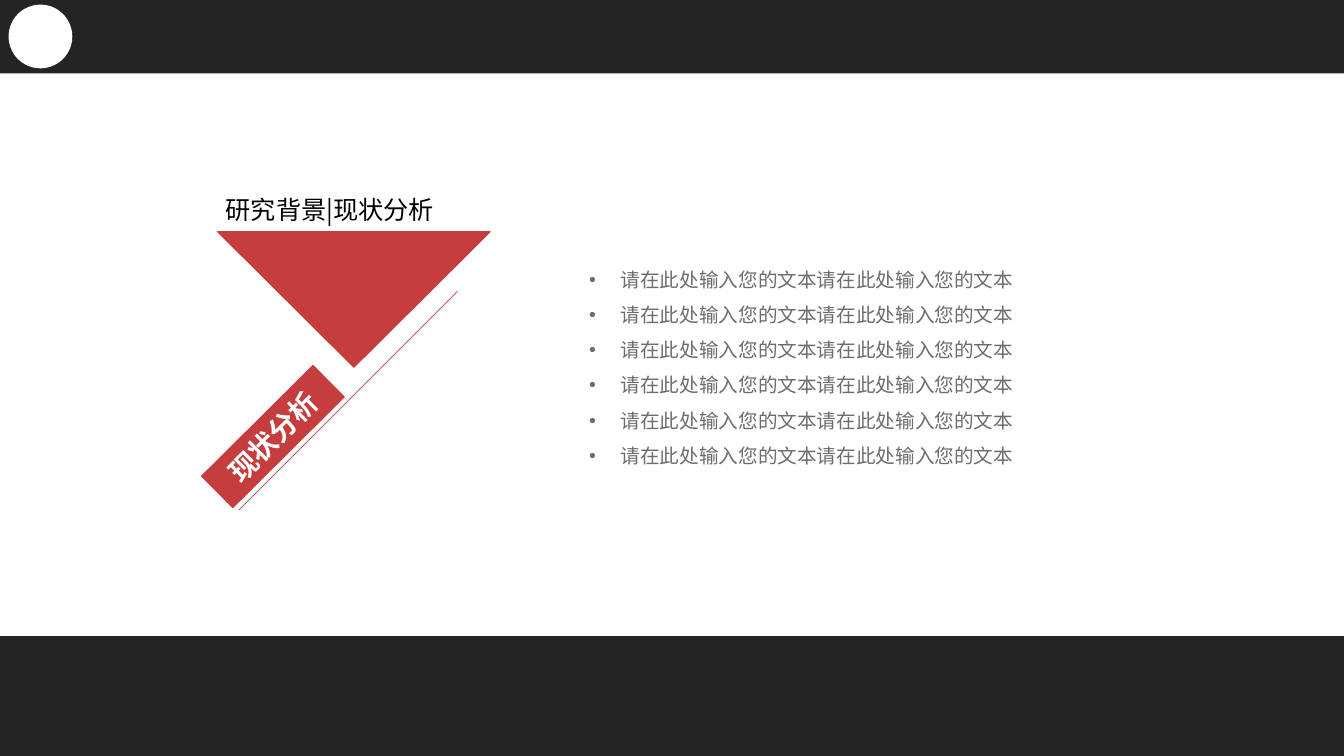
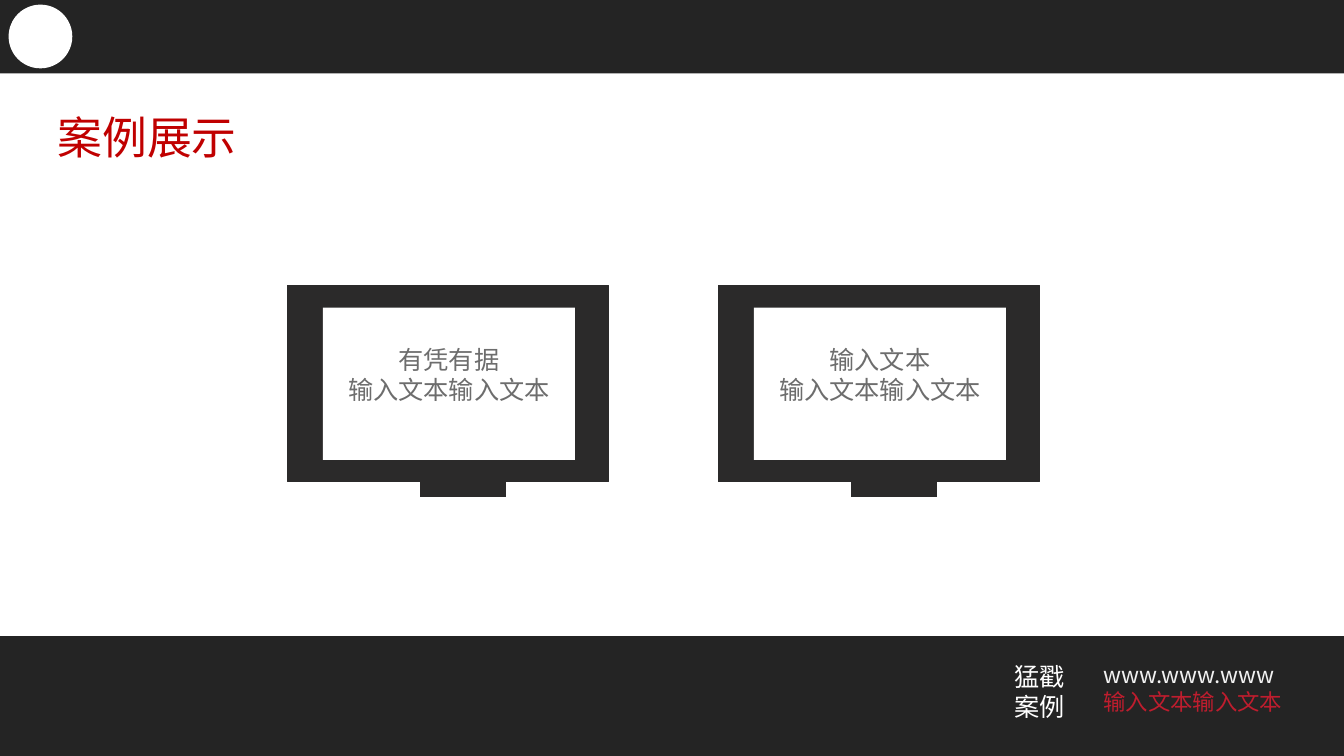
from lxml import etree
from pptx import Presentation
from pptx.dml.color import RGBColor
from pptx.enum import shapes, text
from pptx.oxml import ns
from pptx.util import Cm, Pt

WIDE, HIGH = 33.87, 19.05
JP, SC = "Noto Sans CJK JP", "Noto Sans CJK SC"
HUES = {
    "band": "242424", "case": "2B2A2A", "white": "FFFFFF", "black": "000000",
    "red": "C53D3D", "title": "C00000", "note": "BF1D2E",
    "gray": "6D6D6D", "pale": "F2F2F2",
}
RECT, OVAL = shapes.MSO_SHAPE.RECTANGLE, shapes.MSO_SHAPE.OVAL
LEFT, MID, FULL = text.PP_ALIGN.LEFT, text.PP_ALIGN.CENTER, text.PP_ALIGN.JUSTIFY
TOP, CORE = text.MSO_ANCHOR.TOP, text.MSO_ANCHOR.MIDDLE


def hue(name):
    return RGBColor.from_string(HUES[name])


# Shapes and lines
def paint(shape, fill, edge=0):
    shape.shadow.inherit = False
    shape.fill.solid()
    shape.fill.fore_color.rgb = hue(fill)
    if edge:
        shape.line.color.rgb = hue(fill)
        shape.line.width = Pt(edge)
    else:
        shape.line.fill.background()
    return shape


def block(pool, box, fill, edge=0, kind=RECT):
    return paint(pool.add_shape(kind, *map(Cm, box)), fill, edge)


def wedge(pool, dots, fill, edge):
    first, *rest = [(Cm(x), Cm(y)) for x, y in dots]
    path = pool.build_freeform(*first)
    path.add_line_segments(rest, close=True)
    return paint(path.convert_to_shape(), fill, edge)


def rule(pool, start, end, color, width):
    line = pool.add_connector(shapes.MSO_CONNECTOR.STRAIGHT, *map(Cm, start + end))
    line.line.color.rgb = hue(color)
    line.line.width = Pt(width)
    etree.SubElement(line._element.spPr, ns.qn("a:effectLst"))


# Text
def write(shape, lines, size, font, colors, align=LEFT, anchor=TOP, bold=False):
    frame = shape.text_frame
    frame.word_wrap = True
    frame.vertical_anchor = anchor
    frame.text = "\n".join(lines)
    for i, para in enumerate(frame.paragraphs):
        para.alignment = align
        for run in para.runs:
            run.font.size, run.font.name, run.font.bold = Pt(size), font, bold
            run.font.color.rgb = hue(colors[i % len(colors)])
            east = etree.SubElement(run.font._element, ns.qn("a:ea"))
            east.set("typeface", font)
    return frame


def label(pool, box, *args, **style):
    return write(pool.add_textbox(*map(Cm, box)), *args, **style)


def dot(para, indent):
    para.line_spacing = 1.5
    props = para._p.get_or_add_pPr()
    props.set("marL", str(Cm(indent)))
    props.set("indent", str(-Cm(indent)))
    etree.SubElement(props, ns.qn("a:buFont")).set("typeface", "Arial")
    etree.SubElement(props, ns.qn("a:buChar")).set("char", "•")


# Shared page: two bands and a disc
def page(deck):
    pool = deck.slides.add_slide(deck.slide_layouts[6]).shapes
    block(pool, (0, 0, WIDE, 1.85), "band")
    block(pool, (0, 16.03, WIDE, HIGH - 16.03), "band")
    block(pool, (0.23, 0.13, 1.58, 1.58), "white", 0.75, OVAL)
    return pool


def screen(pool, left, lines):
    top = 7.19
    block(pool, (left, top, 8.1, 4.95), "case", 0.75)
    block(pool, (left + 3.35, top + 4.95, 2.16, 0.38), "case")
    pane = block(pool, (left + 0.9, top + 0.56, 6.35, 3.84), "white")
    frame = write(pane, lines, 18, SC, ["gray"], MID)
    frame.margin_top = Cm(0.92)


# Slide 1: current state
def state(deck):
    pool = page(deck)
    sign = pool.add_group_shape().shapes
    rule(sign, (11.53, 7.34), (6.02, 12.85), "red", 0.5)
    wedge(sign, [(5.49, 5.84), (12.35, 5.84), (8.92, 9.25)], "red", 1)
    tag = block(sign, (4.9, 10.44, 3.96, 1.12), "red", 0.75)
    tag.rotation = 315.2
    write(tag, ["现状分析"], 20, JP, ["white"], MID, CORE, True)
    label(pool, (5.44, 4.78, 18.69, 1.02), ["研究背景|现状分析"], 18, JP, ["black"])
    items = ["请在此处输入您的文本" * 2] * 6
    frame = label(pool, (14.6, 6.32, 11.68, 2.82), items, 14, SC, ["gray"], align=FULL)
    for para in frame.paragraphs:
        dot(para, 0.79)


# Slide 2: cases
def cases(deck):
    pool = page(deck)
    head = label(pool, (0.56, 2.34, 6.3, 2.18), ["案例展示"], 32, JP, ["title"],
                 align=MID, anchor=CORE)
    head.margin_left = head.margin_right = head.margin_top = head.margin_bottom = 0
    for i, name in enumerate(["有凭有据", "输入文本"]):
        screen(pool, 7.24 + i * 10.86, [name, "输入文本输入文本"])
    label(pool, (25.32, 16.54, 1.78, 1.8), ["猛戳案例"], 18, JP, ["white"])
    label(pool, (27.56, 16.54, 5.84, 1.63), ["www.www.www", "输入文本输入文本"],
          16, SC, ["pale", "note"])


def main():
    deck = Presentation()
    deck.slide_width, deck.slide_height = Cm(WIDE), Cm(HIGH)
    state(deck)
    cases(deck)
    deck.save("out.pptx")


if __name__ == "__main__":
    main()
